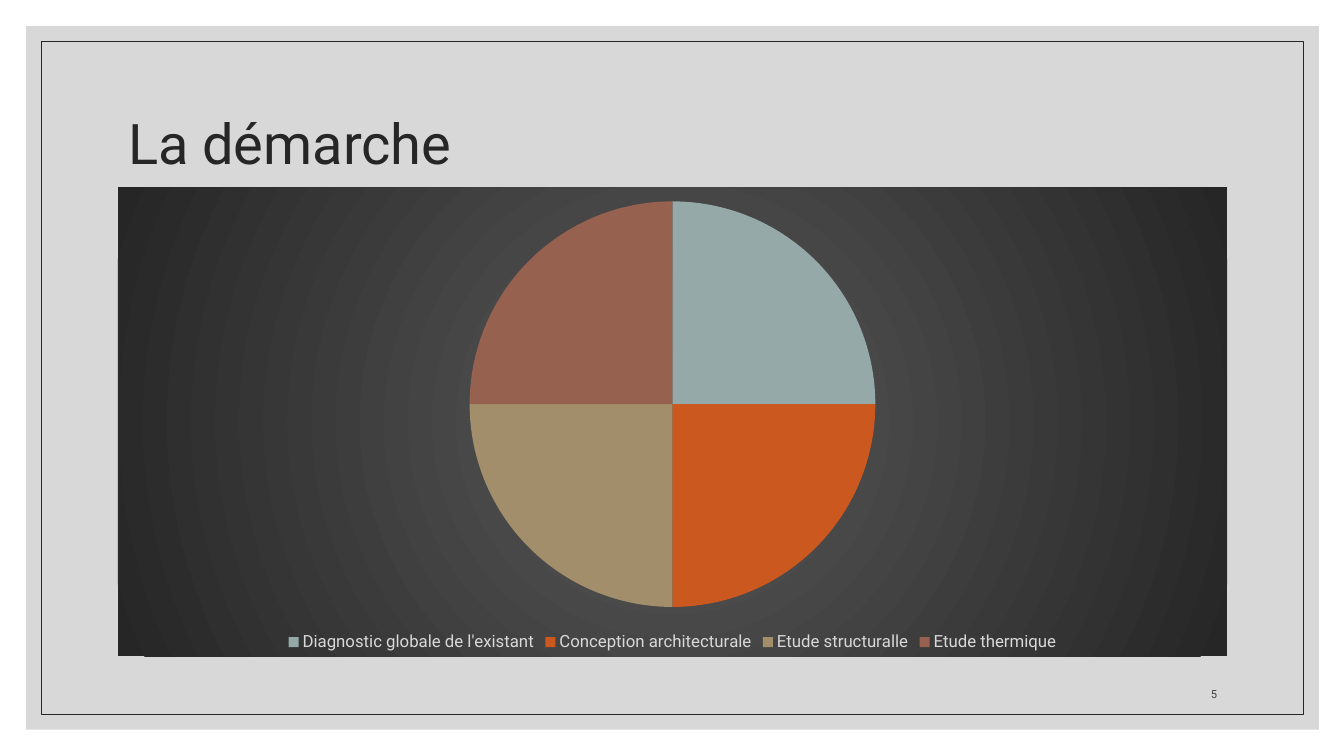
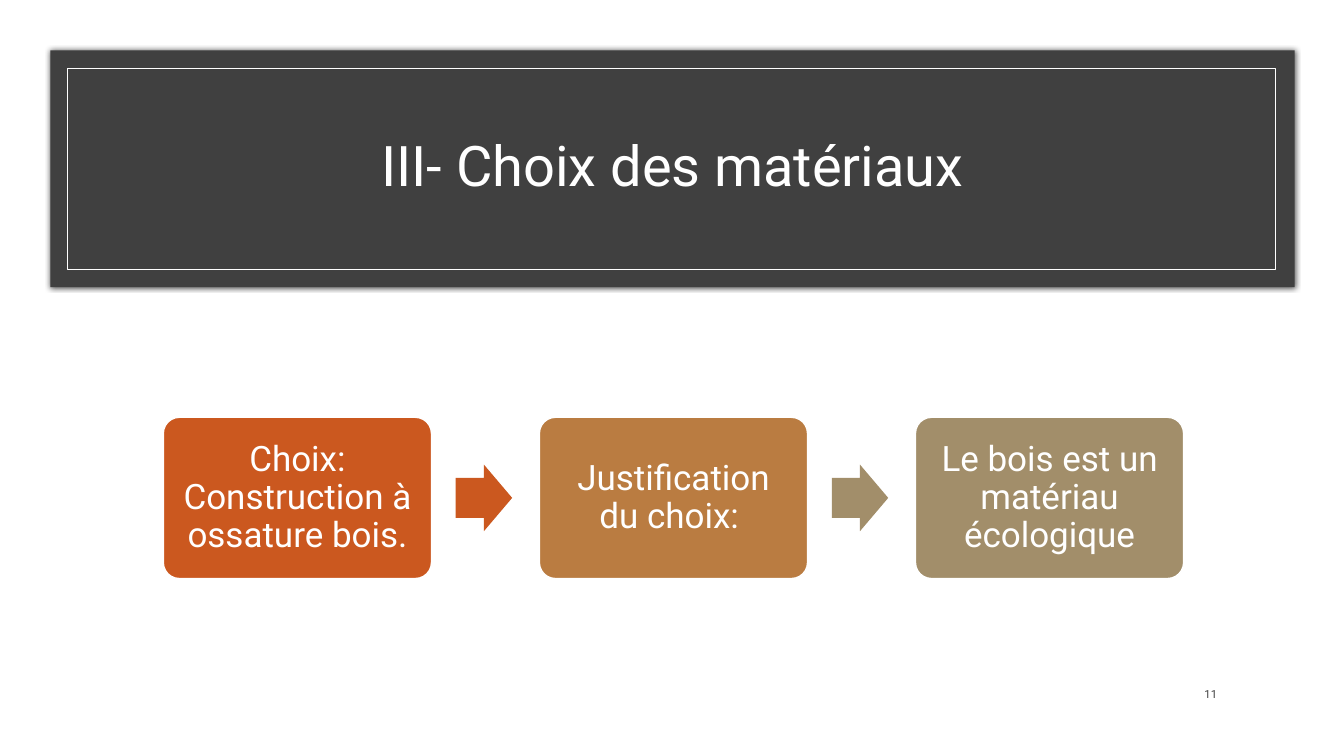
from lxml import etree
from pptx import Presentation
from pptx.chart.data import CategoryChartData
from pptx.dml.color import RGBColor
from pptx.enum.chart import XL_CHART_TYPE, XL_LEGEND_POSITION
from pptx.enum.shapes import MSO_SHAPE
from pptx.enum.text import MSO_ANCHOR, MSO_AUTO_SIZE, PP_ALIGN
from pptx.oxml import parse_xml
from pptx.oxml.ns import nsdecls, qn
from pptx.util import Inches, Pt

RECT, ROUND, ARROW = MSO_SHAPE.RECTANGLE, MSO_SHAPE.ROUNDED_RECTANGLE, MSO_SHAPE.RIGHT_ARROW
LEFT, CENTER, RIGHT = PP_ALIGN.LEFT, PP_ALIGN.CENTER, PP_ALIGN.RIGHT
MIDDLE, BOTTOM = MSO_ANCHOR.MIDDLE, MSO_ANCHOR.BOTTOM
PIE, BELOW = XL_CHART_TYPE.PIE, XL_LEGEND_POSITION.BOTTOM
FIXED = MSO_AUTO_SIZE.NONE

FONT = "Roboto"
COLORS = {
    "white": "FFFFFF", "black": "000000", "panel": "BFBFBF", "ink": "262626",
    "dark": "404040", "glow": "595959", "pale": "D9D9D9", "sage": "95A9A9",
    "rust": "CB581F", "amber": "BA7C41", "sand": "A28E6A", "clay": "96614F",
}


def write(shape, text, size=25, color="white", align=CENTER, anchor=MIDDLE, space=0.9):
    frame = shape.text_frame
    frame.word_wrap = True
    frame.auto_size = FIXED
    frame.vertical_anchor = anchor
    para = frame.paragraphs[0]
    para.text = text
    para.alignment = align
    para.line_spacing = space
    para.font.size = Pt(size)
    para.font.name = FONT
    para.font.color.rgb = RGBColor.from_string(COLORS[color])


def draw(slide, kind, box, fill=None, line=None, width=0.5):
    shape = slide.shapes.add_shape(kind, *map(Inches, box))
    shape.shadow.inherit = False
    if fill:
        shape.fill.solid()
        shape.fill.fore_color.rgb = RGBColor.from_string(COLORS[fill])
    else:
        shape.fill.background()
    if line:
        shape.line.color.rgb = RGBColor.from_string(COLORS[line])
        shape.line.width = Pt(width)
    else:
        shape.line.fill.background()
    return shape


deck = Presentation()
deck.slide_width, deck.slide_height = Inches(13.33), Inches(7.5)

pages = [
    {"title": "La démarche", "number": "5", "top": 0.7, "align": LEFT, "ink": "ink",
     "band": (0.26, 0.26, 12.82, 6.98), "fill": "panel",
     "frame": (0.41, 0.41, 12.52, 6.68)},
    {"title": "III- Choix des matériaux", "number": "11", "top": 0.92, "align": CENTER,
     "ink": "white", "band": (0.5, 0.5, 12.34, 2.35), "fill": "dark",
     "frame": (0.67, 0.68, 11.98, 1.99)},
]
slides, bands = [], []
for page in pages:
    slide = deck.slides.add_slide(deck.slide_layouts[5])
    slides.append(slide)
    bands.append(draw(slide, RECT, page["band"], fill=page["fill"]))
    draw(slide, RECT, page["frame"], line=page["ink"])
    title = slide.shapes.title
    title.left, title.top = Inches(1.17), Inches(page["top"])
    title.width, title.height = Inches(11), Inches(1.5)
    write(title, page["title"], size=40, color=page["ink"], align=page["align"])
    slide.shapes.element.append(title.element)
    number = slide.shapes.add_textbox(Inches(11.25), Inches(6.6), Inches(0.92), Inches(0.4))
    write(number, page["number"], size=8, color="dark", align=RIGHT, anchor=BOTTOM, space=1)

tint = bands[0].element.spPr.find(qn("a:solidFill"))[0]
etree.SubElement(tint, qn("a:alpha"), val="60000")
shade = parse_xml(
    f'<a:outerShdw {nsdecls("a")} blurRad="50800" dist="0" dir="0">'
    f'<a:srgbClr val="{COLORS["black"]}"><a:alpha val="66000"/></a:srgbClr></a:outerShdw>')
bands[1].element.spPr.find(qn("a:effectLst")).append(shade)

steps = [
    ("Diagnostic globale de l'existant", "sage"),
    ("Conception architecturale", "rust"),
    ("Etude structuralle", "sand"),
    ("Etude thermique", "clay"),
]
data = CategoryChartData()
data.categories = [name for name, color in steps]
data.add_series("Series 1", [25] * len(steps))
chart = slides[0].shapes.add_chart(
    PIE, Inches(1.17), Inches(1.86), Inches(11), Inches(4.65), data).chart
chart.has_title = False
chart.font.size = Pt(10)
chart.font.name = FONT
chart.has_legend = True
legend = chart.legend
legend.position = BELOW
legend.include_in_layout = False
legend.font.size = Pt(12)
legend.font.name = FONT
legend.font.color.rgb = RGBColor.from_string(COLORS["pale"])
chart.plots[0].vary_by_categories = True
for i, (name, color) in enumerate(steps):
    look = chart.plots[0].series[0].points[i].format
    look.fill.solid()
    look.fill.fore_color.rgb = RGBColor.from_string(COLORS[color])
    look.line.fill.background()
back = parse_xml(
    f'<c:spPr {nsdecls("c", "a")}><a:gradFill><a:gsLst>'
    f'<a:gs pos="0"><a:srgbClr val="{COLORS["glow"]}"/></a:gs>'
    f'<a:gs pos="100000"><a:srgbClr val="{COLORS["ink"]}"/></a:gs></a:gsLst>'
    '<a:path path="circle"><a:fillToRect l="50000" t="50000" r="50000" b="50000"/></a:path>'
    '</a:gradFill><a:ln><a:noFill/></a:ln></c:spPr>')
chart.element.find(qn("c:chart")).addnext(back)

cards = [
    ("Choix: Construction à ossature bois.", "rust"),
    ("Justification du choix: ", "amber"),
    ("Le bois est un matériau écologique", "sand"),
]
for i, (text, color) in enumerate(cards):
    left = 1.62 + i * 3.73
    card = draw(slides[1], ROUND, (left, 4.14, 2.66, 1.6), fill=color, line="white", width=1)
    card.adjustments[0] = 0.1
    write(card, text)
    if i < len(cards) - 1:
        arrow = draw(slides[1], ARROW, (left + 2.9, 4.61, 0.56, 0.66), fill=("rust", "sand")[i])
        arrow.adjustments[0] = 0.6
        arrow.adjustments[1] = 0.5

deck.save("out.pptx")
